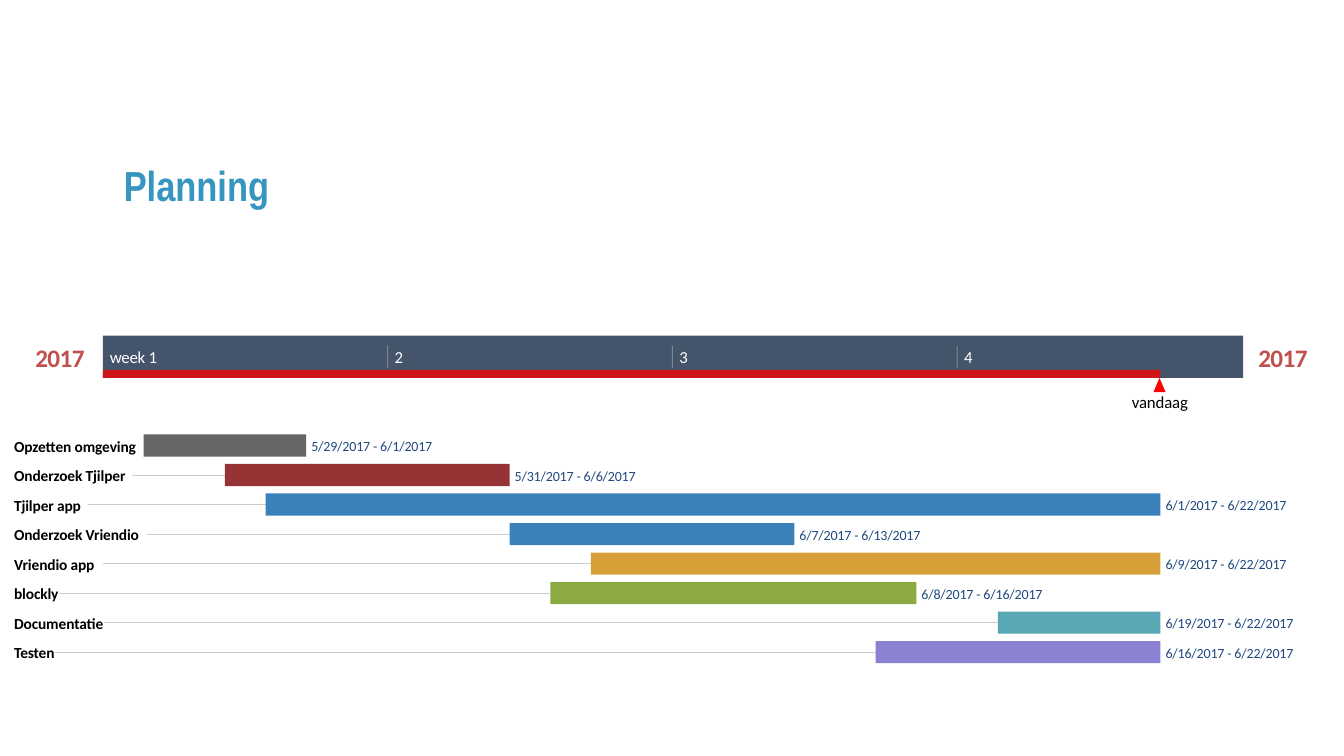
from dataclasses import dataclass
from lxml.etree import SubElement
from pptx import Presentation
from pptx.dml.color import RGBColor
from pptx.enum.shapes import MSO_CONNECTOR, MSO_SHAPE
from pptx.enum.text import MSO_ANCHOR, PP_ALIGN
from pptx.oxml.ns import qn
from pptx.util import Inches, Pt

WHITE = RGBColor(0xFF, 0xFF, 0xFF)
BLACK = RGBColor(0x00, 0x00, 0x00)
RED = RGBColor(0xFF, 0x00, 0x00)
BRICK = RGBColor(0xC0, 0x50, 0x4D)
SLATE = RGBColor(0x44, 0x54, 0x6A)
NAVY = RGBColor(0x1F, 0x49, 0x7E)
SKY = RGBColor(0x37, 0x96, 0xBF)
RULE_GRAY = RGBColor(0xCC, 0xCC, 0xCC)
GRAY = RGBColor(0x66, 0x66, 0x66)
MAROON = RGBColor(0x96, 0x33, 0x34)
BLUE = RGBColor(0x3A, 0x81, 0xBA)
OCHRE = RGBColor(0xD8, 0x9F, 0x39)
GREEN = RGBColor(0x8B, 0xAB, 0x42)
TEAL = RGBColor(0x57, 0xA7, 0xB5)
VIOLET = RGBColor(0x8B, 0x81, 0xD2)

TODAY = 26
DAY_WIDTH = 10.49 / TODAY
WEEK_WIDTH = 7 * DAY_WIDTH
MAY_DAYS_ON_AXIS = 4

TASKS = [
    ("Opzetten omgeving", 1.24, 1, 5, GRAY),
    ("Onderzoek Tjilper", 1.18, 3, 10, MAROON),
    ("Tjilper app", 0.74, 4, 26, BLUE),
    ("Onderzoek Vriendio", 1.33, 10, 17, BLUE),
    ("Vriendio app", 0.89, 12, 26, OCHRE),
    ("blockly", 0.46, 11, 20, GREEN),
    ("Documentatie", 0.90, 22, 26, TEAL),
    ("Testen", 0.42, 19, 26, VIOLET),
]


@dataclass
class Box:
    left: float
    top: float
    width: float
    height: float

    def lengths(self):
        return [Inches(n) for n in (self.left, self.top, self.width, self.height)]


def set_alpha(color_format_parent, percent):
    color = next(color_format_parent.iter(qn("a:srgbClr")))
    SubElement(color, qn("a:alpha"), val=str(percent * 1000))


def add_text(page, box, text, size=12, color=BLACK, font="Calibri", bold=False,
             align=PP_ALIGN.LEFT, anchor=MSO_ANCHOR.MIDDLE, wrap=False,
             inset=0, spacing=-10):
    frame = page.shapes.add_textbox(*box.lengths()).text_frame
    frame.word_wrap = wrap
    frame.vertical_anchor = anchor
    frame.margin_left = frame.margin_right = Inches(inset)
    frame.margin_top = frame.margin_bottom = Inches(inset)
    para = frame.paragraphs[0]
    para.alignment = align
    span = para.add_run()
    span.text = text
    span.font.name = font
    span.font.size = Pt(size)
    span.font.bold = bold
    span.font.color.rgb = color
    span.font._element.set("spc", str(spacing))


def add_block(page, box, color, kind=MSO_SHAPE.RECTANGLE, alpha=100):
    block = page.shapes.add_shape(kind, *box.lengths())
    block.shadow.inherit = False
    block.fill.solid()
    block.fill.fore_color.rgb = color
    block.line.fill.background()
    if alpha < 100:
        set_alpha(block._element.spPr, alpha)


def add_rule(page, start, end, color, alpha=100):
    points = [Inches(n) for n in (*start, *end)]
    rule = page.shapes.add_connector(MSO_CONNECTOR.STRAIGHT, *points)
    rule.line.color.rgb = color
    rule.line.width = Pt(0.75)
    SubElement(rule._element.spPr, qn("a:effectLst"))
    if alpha < 100:
        set_alpha(rule._element.spPr, alpha)


def date_text(day):
    if day < MAY_DAYS_ON_AXIS:
        return f"5/{28 + day}/2017"
    return f"6/{day - MAY_DAYS_ON_AXIS + 1}/2017"


def draw_title(page, box):
    add_text(page, box, "Planning", size=30, color=SKY, font="Arial Narrow", bold=True,
             anchor=MSO_ANCHOR.BOTTOM, wrap=True, inset=0.1, spacing=0)


def draw_timeline(page, box):
    bottom = box.top + box.height
    for year_left in (box.left - 0.67, box.left + box.width + 0.15):
        add_text(page, Box(year_left, box.top + 0.06, 0.49, 0.31), "2017", size=18,
                 color=BRICK, bold=True, align=PP_ALIGN.CENTER, spacing=-40)
    add_block(page, box, SLATE)
    elapsed = TODAY * DAY_WIDTH
    add_block(page, Box(box.left, bottom - 0.08, elapsed, 0.08), RED, alpha=75)
    today = box.left + elapsed - 0.01
    add_block(page, Box(today - 0.06, bottom, 0.12, 0.14), RED,
              kind=MSO_SHAPE.ISOSCELES_TRIANGLE)
    add_text(page, Box(today - 0.28, bottom + 0.14, 0.57, 0.2), "vandaag",
             align=PP_ALIGN.CENTER)
    for week, label in enumerate(["week 1", "2", "3", "4"]):
        left = box.left + week * WEEK_WIDTH
        if week:
            add_rule(page, (left, box.top + 0.1), (left, box.top + 0.32), WHITE, alpha=30)
        add_text(page, Box(left + 0.07, box.top + 0.11, 0.08 if week else 0.49, 0.2),
                 label, color=WHITE, spacing=-30 if week else -20)


def draw_task(page, box, axis_left, task):
    name, name_width, start, end, color = task
    bar_left = axis_left + start * DAY_WIDTH
    bar_width = (end - start) * DAY_WIDTH
    name_right = box.left + name_width - 0.01
    middle = box.top + box.height / 2
    if bar_left - name_right > 0.1:
        add_rule(page, (name_right, middle), (bar_left, middle), RULE_GRAY)
    add_block(page, Box(bar_left, box.top, bar_width, box.height), color)
    dates = f"{date_text(start)} - {date_text(end - 1)}"
    add_text(page, Box(bar_left + bar_width + 0.05, box.top + 0.03, 1.32, 0.17), dates,
             size=10, color=NAVY, wrap=True)
    add_text(page, Box(box.left, box.top + 0.02, name_width, 0.19), name, size=11,
             bold=True, wrap=True)


def draw_tasks(page, box, axis_left):
    bar_height = 0.22
    pitch = (box.height - bar_height) / (len(TASKS) - 1)
    for row, task in enumerate(TASKS):
        row_box = Box(box.left, box.top + row * pitch, box.width, bar_height)
        draw_task(page, row_box, axis_left, task)


def main():
    deck = Presentation()
    deck.slide_width = Inches(13.33)
    deck.slide_height = Inches(7.5)
    page = deck.slides.add_slide(deck.slide_layouts[6])
    timeline = Box(1.02, 3.33, 11.31, 0.42)
    draw_timeline(page, timeline)
    draw_tasks(page, Box(0.14, 4.31, 12.74, 2.27), timeline.left)
    draw_title(page, Box(1.13, 1.19, 8.4, 0.99))
    deck.save("out.pptx")


if __name__ == "__main__":
    main()
